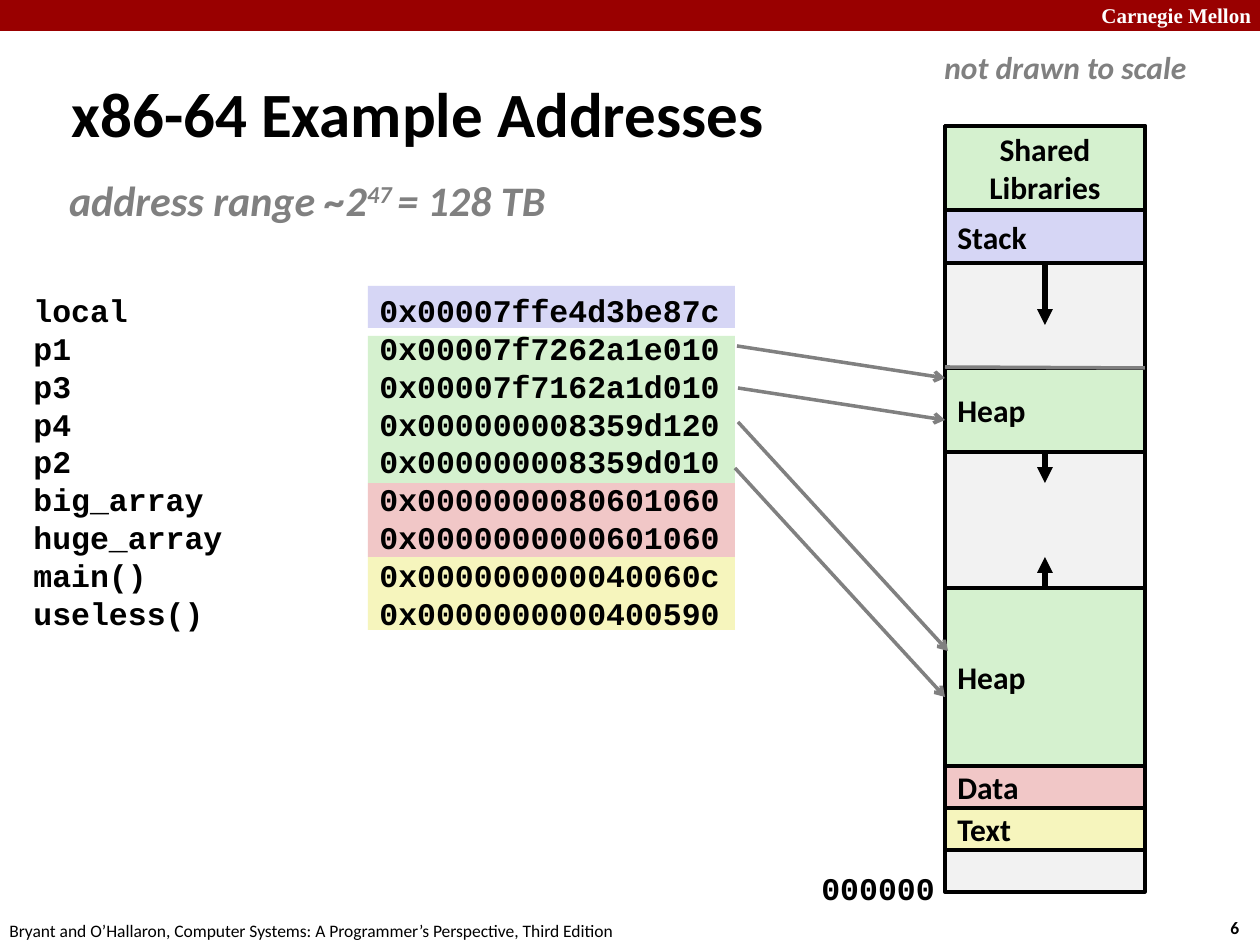
from dataclasses import dataclass
from typing import Optional

from lxml.etree import SubElement
from pptx import Presentation
from pptx.dml.color import RGBColor
from pptx.enum.shapes import MSO_CONNECTOR as Connector, MSO_SHAPE as Shape
from pptx.enum.text import MSO_ANCHOR as Anchor, MSO_AUTO_SIZE as AutoSize, PP_ALIGN as Align
from pptx.oxml.ns import qn
from pptx.util import Emu, Pt

EMU_PER_PX = 914400 / 126
BLACK, GRAY, WHITE = "000000", "808080", "FFFFFF"
RED, UNUSED = "990000", "F2F2F2"
GREEN, BLUE, PINK, YELLOW = "D5F1CF", "D6D6F5", "F1C7C7", "F6F5BD"
MEMORY_LEFT, MEMORY_WIDTH = 945, 200


@dataclass
class Style:
    size: int
    font: str = "Calibri"
    color: str = BLACK
    bold: bool = True
    italic: bool = False


@dataclass
class Label:
    box: tuple[int, int, int, int]
    text: str
    style: Style
    wrap: bool = False
    anchor: Anchor = Anchor.TOP


@dataclass
class Region:
    top: int
    height: int
    color: str
    lines: tuple[str, ...] = ()
    align: Align = Align.LEFT


@dataclass
class Line:
    start: tuple[int, int]
    end: tuple[int, int]
    color: str = GRAY
    width: int = 2
    head: Optional[str] = "arrow"


LABEL_STYLE = Style(18)
CODE_STYLE = Style(18, "Courier New")
RANGE_STYLE = Style(24, color=GRAY, italic=True)

LABELS = [
    Label((1089, -4, 180, 38), "Carnegie Mellon", Style(12, "Times New Roman", WHITE), wrap=True),
    Label((1218, 911, 47, 34), "6", Style(10)),
    Label((-3, 914, 640, 34),
          "Bryant and O’Hallaron, Computer Systems: A Programmer’s Perspective, Third Edition",
          Style(10, bold=False)),
    Label((59, 73, 906, 79), "x86-64 Example Addresses", Style(36), True, Anchor.MIDDLE),
    Label((809, 863, 140, 50), "000000", CODE_STYLE),
    Label((932, 42, 268, 50), "not drawn to scale", Style(18, color=GRAY, italic=True)),
]

ADDRESSES = {
    "local": "0x00007ffe4d3be87c",
    "p1": "0x00007f7262a1e010",
    "p3": "0x00007f7162a1d010",
    "p4": "0x000000008359d120",
    "p2": "0x000000008359d010",
    "big_array": "0x0000000080601060",
    "huge_array": "0x0000000000601060",
    "main()": "0x000000000040060c",
    "useless()": "0x0000000000400590",
}

# Top, height and colour of the bands behind the addresses
ADDRESS_BANDS = [(557, 73, YELLOW), (483, 74, PINK), (286, 42, BLUE), (336, 147, GREEN)]

WHOLE_MEMORY = Region(126, 766, UNUSED)
TEXT = Region(808, 42, YELLOW, ("Text",))
DATA = Region(766, 42, PINK, ("Data",))
LOWER_HEAP = Region(588, 178, GREEN, ("Heap",))
UPPER_HEAP = Region(368, 84, GREEN, ("Heap",))
STACK = Region(210, 53, BLUE, ("Stack",))
SHARED = Region(126, 84, GREEN, ("Shared", "Libraries"), Align.CENTER)

# Region, connection site it grows from, and signed length
GROWTH = [(LOWER_HEAP, 0, -31), (UPPER_HEAP, 2, 31), (STACK, 2, 62)]

POINTERS = [
    Line((738, 388), (945, 420)),
    Line((738, 422), (948, 651)),
    Line((735, 468), (945, 697)),
    Line((945, 367), (1145, 368), head=None),
    Line((737, 346), (945, 378)),
]


def px(length: float) -> Emu:
    return Emu(round(length * EMU_PER_PX))


def rgb(color: str) -> RGBColor:
    return RGBColor.from_string(color)


def add_run(paragraph, text: str, style: Style):
    run = paragraph.add_run()
    run.text = text
    font = run.font
    font.size, font.name = Pt(style.size), style.font
    font.bold, font.italic = style.bold, style.italic
    font.color.rgb = rgb(style.color)
    return run


def add_frame(slide, box: tuple[int, int, int, int], wrap: bool):
    frame = slide.shapes.add_textbox(*map(px, box)).text_frame
    frame.word_wrap = wrap
    frame.auto_size = AutoSize.NONE if wrap else AutoSize.SHAPE_TO_FIT_TEXT
    return frame


def add_label(slide, label: Label) -> None:
    frame = add_frame(slide, label.box, label.wrap)
    frame.vertical_anchor = label.anchor
    add_run(frame.paragraphs[0], label.text, label.style)


def add_rect(slide, box: tuple[int, int, int, int], color: str, outlined: bool = False):
    rect = slide.shapes.add_shape(Shape.RECTANGLE, *map(px, box))
    rect.shadow.inherit = False
    rect.fill.solid()
    rect.fill.fore_color.rgb = rgb(color)
    if outlined:
        rect.line.color.rgb = rgb(BLACK)
        rect.line.width = Pt(2)
    else:
        rect.line.fill.background()
    return rect


def add_region(slide, region: Region):
    rect = add_rect(slide, (MEMORY_LEFT, region.top, MEMORY_WIDTH, region.height),
                    region.color, outlined=True)
    frame = rect.text_frame
    frame.vertical_anchor = Anchor.MIDDLE
    for index, text in enumerate(region.lines):
        paragraph = frame.add_paragraph() if index else frame.paragraphs[0]
        paragraph.alignment = region.align
        add_run(paragraph, text, LABEL_STYLE)
    return rect


def add_line(slide, line: Line):
    connector = slide.shapes.add_connector(
        Connector.STRAIGHT, *map(px, line.start + line.end))
    connector.line.color.rgb = rgb(line.color)
    connector.line.width = Pt(line.width)
    if line.head:
        SubElement(connector.line._get_or_add_ln(), qn("a:tailEnd"), type=line.head)
    SubElement(connector._element.spPr, qn("a:effectLst"))
    return connector


def add_growth(slide, region: Region, rect, site: int, length: int) -> None:
    """Draw the arrow showing which way a region grows."""
    x = MEMORY_LEFT + MEMORY_WIDTH // 2
    y = region.top + (region.height if site == 2 else 0)
    arrow = add_line(slide, Line((x, y), (x, y + length), BLACK, 3, "triangle"))
    arrow.begin_connect(rect, site)


def add_addresses(slide) -> None:
    for top, height, color in ADDRESS_BANDS:
        add_rect(slide, (368, top, 367, height), color)
    frame = add_frame(slide, (21, 285, 777, 355), wrap=True)
    for index, (name, address) in enumerate(ADDRESSES.items()):
        paragraph = frame.add_paragraph() if index else frame.paragraphs[0]
        tabs = SubElement(paragraph._p.get_or_add_pPr(), qn("a:tabLst"))
        SubElement(tabs, qn("a:tab"), pos=str(px(346)), algn="l")
        add_run(paragraph, f"{name}\t{address}", CODE_STYLE)


def add_address_range(slide) -> None:
    frame = add_frame(slide, (63, 168, 498, 63), wrap=False)
    frame.margin_left = frame.margin_right = px(6)
    paragraph = frame.paragraphs[0]
    add_run(paragraph, "address range ~2", RANGE_STYLE)
    exponent = add_run(paragraph, "47 ", RANGE_STYLE)
    exponent._r.get_or_add_rPr().set("baseline", "30000")
    add_run(paragraph, "= 128 TB", RANGE_STYLE)


def main() -> None:
    deck = Presentation()
    deck.slide_width, deck.slide_height = px(1260), px(945)
    slide = deck.slides.add_slide(deck.slide_layouts[6])
    add_rect(slide, (0, 0, 1260, 31), RED)
    for label in LABELS:
        add_label(slide, label)
    add_addresses(slide)
    add_address_range(slide)
    for region in (WHOLE_MEMORY, TEXT, DATA, SHARED):
        add_region(slide, region)
    for region, site, length in GROWTH:
        add_growth(slide, region, add_region(slide, region), site, length)
    for pointer in POINTERS:
        add_line(slide, pointer)
    deck.save("out.pptx")


if __name__ == "__main__":
    main()
